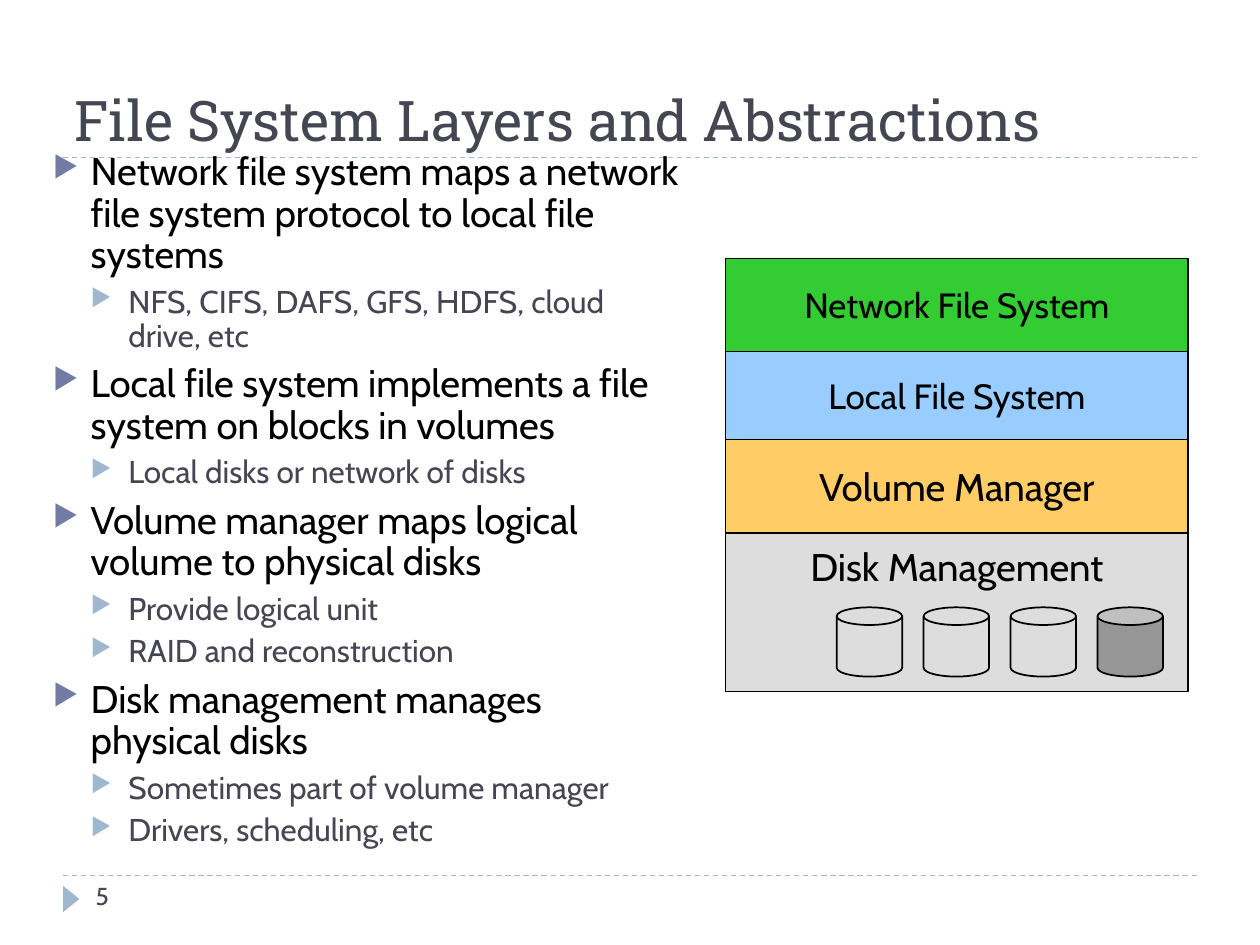
from lxml import etree
from pptx import Presentation
from pptx.dml.color import RGBColor
from pptx.enum import dml, shapes, text
from pptx.oxml import ns
from pptx.util import Inches, Pt

INK = RGBColor(0x46, 0x46, 0x53)
BLACK = RGBColor(0, 0, 0)
PALE = RGBColor(0x9F, 0xB8, 0xCD)
SLATE = RGBColor(0x72, 0x7C, 0xA3)
GREEN = RGBColor(0x33, 0xCC, 0x33)
BLUE = RGBColor(0x99, 0xCC, 0xFF)
AMBER = RGBColor(0xFF, 0xCC, 0x66)
SILVER = RGBColor(0xDD, 0xDD, 0xDD)
GRAY = RGBColor(0x96, 0x96, 0x96)

# Content
TITLE = "File System Layers and Abstractions"
NUMBER = "5"
POINTS = [
    ("Network file system maps a network file system protocol to local file systems",
     ["NFS, CIFS, DAFS, GFS, HDFS, cloud drive, etc"]),
    ("Local file system implements a file system on blocks in volumes",
     ["Local disks or network of disks"]),
    ("Volume manager maps logical volume to physical disks",
     ["Provide logical unit", "RAID and reconstruction"]),
    ("Disk management manages physical disks",
     ["Sometimes part of volume manager", "Drivers, scheduling, etc"]),
]
# Name, height, fill, text size
LAYERS = [
    ("Network File System", 0.74, GREEN, 20),
    ("Local File System", 0.7, BLUE, 20),
    ("Volume Manager", 0.74, AMBER, 22),
    ("Disk Management", 1.26, SILVER, 22),
]
DISKS = [None, None, None, GRAY]
# Size, colour, space before, bullet colour for each level
LEVELS = [(22, BLACK, 6, SLATE), (18, INK, 5, PALE)]

deck = Presentation()
deck.slide_width, deck.slide_height = Inches(10), Inches(7.5)
slide = deck.slides.add_slide(deck.slide_layouts[6])
parts = slide.shapes


def write(para, words, size=18, color=INK, font="Cabin", align=None):
    run = para.add_run()
    run.text = words
    run.font.size, run.font.name = Pt(size), font
    run.font.color.rgb = color
    para.alignment = align


def set_frame(shape, wrap=True, anchor=text.MSO_ANCHOR.TOP, top=0.04):
    frame = shape.text_frame
    frame.word_wrap, frame.vertical_anchor = wrap, anchor
    frame.margin_left = frame.margin_right = Inches(0.09)
    frame.margin_top, frame.margin_bottom = Inches(top), Inches(0.04)
    return frame


def add_box(left, top, width, height, **form):
    box = parts.add_textbox(*map(Inches, (left, top, width, height)))
    return set_frame(box, **form)


def add_part(kind, left, top, width, height, fill=None, line=None):
    part = parts.add_shape(kind, *map(Inches, (left, top, width, height)))
    part.shadow.inherit = False
    if fill is None:
        part.fill.background()
    else:
        part.fill.solid()
        part.fill.fore_color.rgb = fill
    if line is None:
        part.line.fill.background()
    else:
        part.line.color.rgb, part.line.width = BLACK, Pt(line)
    return part


def add_point(para, words, level):
    size, color, before, mark = LEVELS[level]
    write(para, words, size, color)
    para.level = level
    para.line_spacing, para.space_before = 0.9, Pt(before)
    props = para._p.get_or_add_pPr()
    props.set("marL", str(Inches(0.3 * (level + 1))))
    props.set("indent", str(Inches(-0.3)))
    tint = etree.SubElement(props, ns.qn("a:buClr"))
    etree.SubElement(tint, ns.qn("a:srgbClr"), val=str(mark))
    etree.SubElement(props, ns.qn("a:buSzPct"), val="76000")
    etree.SubElement(props, ns.qn("a:buChar"), char="▶")


# Dashed rules and page marker
for y in (6.95, 1.25):
    rule = parts.add_connector(shapes.MSO_CONNECTOR.STRAIGHT,
                               Inches(0.5), Inches(y), Inches(9.5), Inches(y))
    rule.line.color.rgb, rule.line.width = PALE, Pt(0.75)
    rule.line.dash_style = dml.MSO_LINE.DASH
    etree.SubElement(rule._element.spPr, ns.qn("a:effectLst"))
marker = add_part(shapes.MSO_SHAPE.ISOSCELES_TRIANGLE, 0.46, 7.07, 0.21, 0.13, PALE)
marker.rotation = 90
write(add_box(0.67, 6.95, 2.17, 0.4).paragraphs[0], NUMBER, 14)

# Title
head = add_box(0.5, 0.17, 9, 1.08, anchor=text.MSO_ANCHOR.BOTTOM)
write(head.paragraphs[0], TITLE, 32, font="Roboto Slab")

# Bullet list
body = add_box(0.33, 1.17, 5.16, 5.58)
rows = [(words, level) for point, subs in POINTS
        for words, level in [(point, 0)] + [(sub, 1) for sub in subs]]
for i, (words, level) in enumerate(rows):
    add_point(body.add_paragraph() if i else body.paragraphs[0], words, level)

# Layer stack; the last layer keeps its name at the top, above the disks
y = 2.05
for name, height, fill, size in LAYERS:
    layer = add_part(shapes.MSO_SHAPE.RECTANGLE, 5.76, y, 3.67, height, fill, 0.75)
    if name == LAYERS[-1][0]:
        frame = set_frame(layer, wrap=False, top=0.08)
    else:
        frame = set_frame(layer, wrap=False, anchor=text.MSO_ANCHOR.MIDDLE)
    write(frame.paragraphs[0], name, size, BLACK, align=text.PP_ALIGN.CENTER)
    y += height

# Disks
for i, fill in enumerate(DISKS):
    disk = add_part(shapes.MSO_SHAPE.CAN, 6.64 + 0.69 * i, 4.82, 0.52, 0.55, fill, 1)
    disk.adjustments[0] = 0.27

deck.save("out.pptx")
